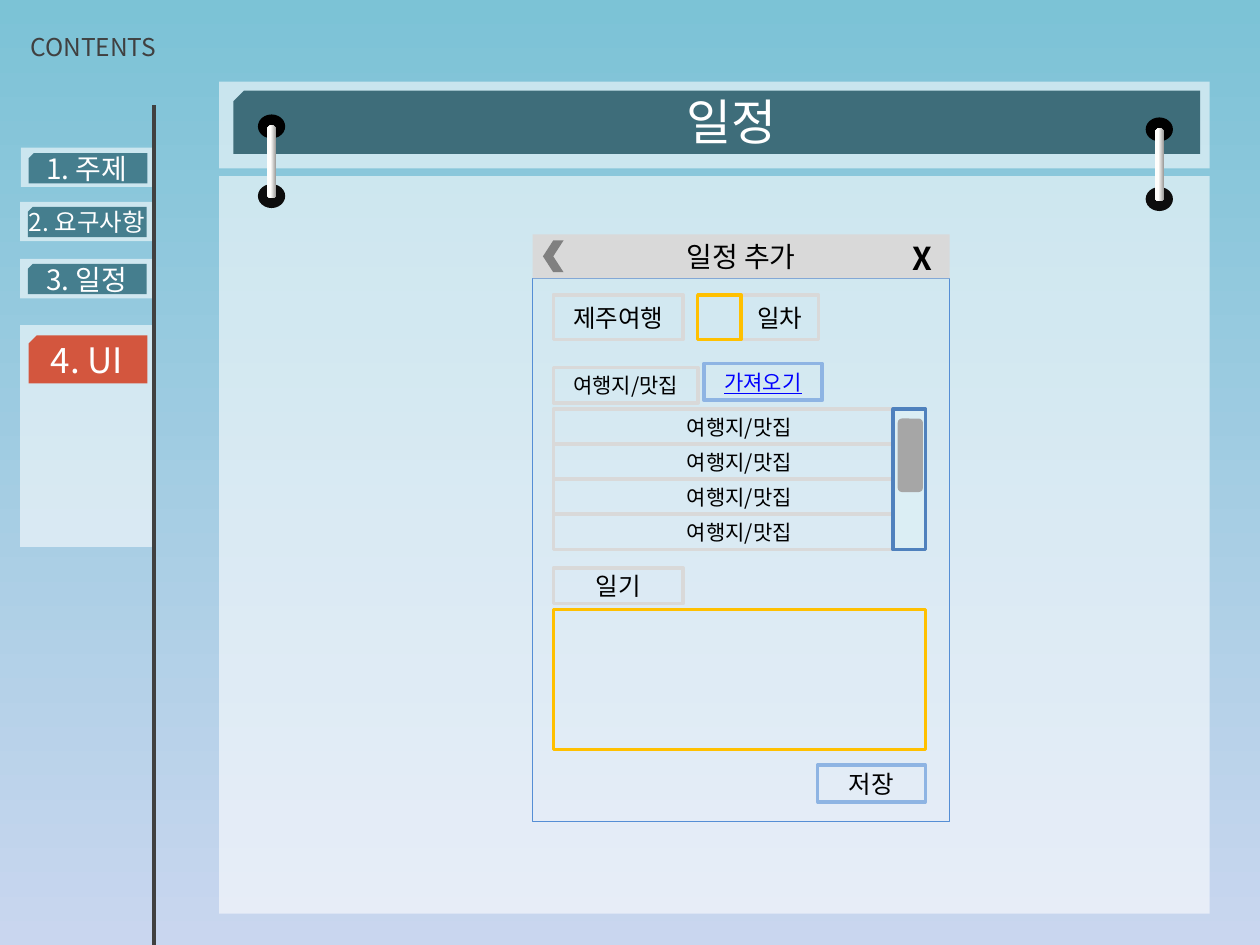
from dataclasses import dataclass

from lxml import etree
from pptx import Presentation
from pptx import util as u
from pptx.dml.color import RGBColor
from pptx.enum import shapes as sh, text as tx
from pptx.oxml.ns import qn

FONT = "Noto Sans CJK KR"
KIND = sh.MSO_SHAPE
WHITE, BLACK, DARK = "FFFFFF", "000000", "404040"
GREY, GOLD, SKY = "D9D9D9", "FFC000", "8EB4E3"
TEAL = "266678"


@dataclass
class Box:
    """A rectangle in points."""
    x: float
    y: float
    w: float
    h: float

    def spot(self) -> tuple:
        return tuple(u.Pt(v) for v in (self.x, self.y, self.w, self.h))


@dataclass
class Field:
    """An outlined box of the form."""
    box: Box
    line: str
    words: str = ""
    size: float = 14
    color: str = BLACK
    under: bool = False


@dataclass
class Tab:
    """An entry of the side menu."""
    words: str
    card: Box
    flag: Box
    size: float
    color: str = TEAL
    alpha: int = 81


def paint(target, color: str, alpha: int = 100) -> None:
    """Set a solid colour, with its opacity in percent."""
    target.solid()
    target.fore_color.rgb = RGBColor.from_string(color)
    if alpha < 100:
        tone = target._xPr.find(".//" + qn("a:srgbClr"))
        etree.SubElement(tone, qn("a:alpha")).set("val", str(alpha * 1000))


def blend(target, stops: list, angle: float) -> None:
    """Set a gradient of two stops."""
    target.gradient()
    target.gradient_angle = angle
    for stop, (place, color) in zip(target.gradient_stops, stops):
        stop.position = place
        stop.color.rgb = RGBColor.from_string(color)


def write(shape, words: str, size: float = 14, color: str = BLACK, bold: bool = False,
          under: bool = False, wrap: bool = True, align=tx.PP_ALIGN.CENTER) -> None:
    frame = shape.text_frame
    frame.word_wrap = wrap
    frame.auto_size = tx.MSO_AUTO_SIZE.NONE
    frame.vertical_anchor = tx.MSO_ANCHOR.MIDDLE
    par = frame.paragraphs[0]
    par.alignment = align
    run = par.add_run()
    run.text = words
    font = run.font
    font.size, font.bold, font.underline, font.name = u.Pt(size), bold, under, FONT
    font.color.rgb = RGBColor.from_string(color)
    etree.SubElement(run._r.get_or_add_rPr(), qn("a:ea")).set("typeface", FONT)


def draw(slide, box: Box, kind=KIND.RECTANGLE, fill: str = "", alpha: int = 100,
         line: str = "", width: float = 2, flip: bool = False):
    shape = slide.shapes.add_shape(kind, *box.spot())
    shape.shadow.inherit = False
    if fill:
        paint(shape.fill, fill, alpha)
    else:
        shape.fill.background()
    if line:
        paint(shape.line.fill, line)
        shape.line.width = u.Pt(width)
    else:
        shape.line.fill.background()
    if flip:
        shape._element.spPr.find(qn("a:xfrm")).set("flipH", "1")
    return shape


def label(slide, box: Box, words: str, **style) -> None:
    write(slide.shapes.add_textbox(*box.spot()), words, **style)


def add_flag(slide, box: Box, color: str, alpha: int) -> None:
    draw(slide, box, KIND.SNIP_1_RECTANGLE, color, alpha, flip=True)


def add_tab(slide, tab: Tab) -> None:
    draw(slide, tab.card, fill=WHITE, alpha=57)
    add_flag(slide, tab.flag, tab.color, tab.alpha)
    row = Box(6.5, tab.flag.y - 10, 86.4, tab.flag.h + 20)
    label(slide, row, tab.words, size=tab.size, color=WHITE)


def add_ring(slide, x: float, y: float) -> None:
    """Two holes joined by a metal bar."""
    for drop, color in ((39.8, "0D0D0D"), (0, BLACK)):
        draw(slide, Box(x, y + drop, 15.6, 13.7), KIND.OVAL, color)
    bar = draw(slide, Box(x + 5.2, y + 6.2, 5.5, 41.8), KIND.ROUNDED_RECTANGLE, WHITE)
    bar.adjustments[0] = 0.5
    blend(bar.fill, [(0.04, "979795"), (0.61, "FFFEFC")], 180)


def add_field(slide, field: Field) -> None:
    shape = draw(slide, field.box, line=field.line)
    if field.words:
        write(shape, field.words, field.size, field.color, under=field.under)


def add_menu(slide) -> None:
    tabs = [
        Tab("4. UI", Box(11.5, 185.8, 76, 126.7), Box(16.4, 191.7, 67.9, 27.3), 20, "D43212", 80),
        Tab("1. 주제", Box(12, 84.4, 76, 22.5), Box(16.4, 87.6, 67.9, 17.3), 16),
        Tab("2. 요구사항", Box(11.5, 115.4, 76, 22.5), Box(15.9, 118.2, 67.9, 17.3), 14),
        Tab("3. 일정", Box(11.5, 148, 76, 22.5), Box(15.9, 150.8, 67.9, 17.3), 16),
    ]
    for tab in tabs:
        add_tab(slide, tab)
    ends = [u.Pt(v) for v in (88, 540, 88, 60.2)]
    rule = slide.shapes.add_connector(sh.MSO_CONNECTOR.STRAIGHT, *ends)
    paint(rule.line.fill, DARK)
    rule.line.width = u.Pt(2.25)
    etree.SubElement(rule._element.spPr, qn("a:effectLst"))


def add_board(slide) -> None:
    draw(slide, Box(125.2, 100.6, 566, 421.5), fill=WHITE, alpha=58)
    draw(slide, Box(125.2, 46.6, 566, 49.6), fill=WHITE, alpha=57)
    add_flag(slide, Box(133.4, 51.8, 552.4, 36.2), "1E5260", 81)
    label(slide, Box(263.5, 27.4, 309.6, 82.8), "일정", size=28, color=WHITE)
    add_ring(slide, 147.4, 65.4)
    add_ring(slide, 654.7, 67.1)


def add_form(slide) -> None:
    draw(slide, Box(304.4, 159.1, 238.2, 310.3), line="558ED5", width=0.5)
    left, wide, place = 316.2, 212.6, "여행지/맛집"
    fields = [
        Field(Box(left, 168.5, 74.2, 25.6), GREY, "제주여행"),
        Field(Box(423.7, 168.5, 44, 25.6), GREY, "일차"),
        Field(Box(398.7, 168.5, 24.8, 25.6), GOLD),
        Field(Box(left, 348.4, wide, 80), GOLD),
        Field(Box(left, 210, 82.8, 20.2), GREY, place, 12),
        *(Field(Box(left, 233.7 + 20 * i, wide, 20.2), GREY, place, 12) for i in range(4)),
        Field(Box(402.2, 207.7, 67.7, 21), SKY, "가져오기", 12, "0000FF", True),
        Field(Box(left, 324.6, 74.2, 20.4), GREY, "일기"),
        Field(Box(467.2, 437.2, 61.6, 21), SKY, "저장"),
    ]
    for field in fields:
        add_field(slide, field)

    # Header bar with back and close marks
    head = draw(slide, Box(304.4, 133.9, 238.2, 25.2), fill=GREY)
    write(head, "일정 추가", 16)
    label(slide, Box(514.6, 132.6, 26.6, 29), "X", size=18, bold=True, wrap=False,
          align=tx.PP_ALIGN.LEFT)
    draw(slide, Box(310.3, 137.4, 11.8, 18.2), KIND.CHEVRON, "808080", flip=True)

    # Scroll bar
    draw(slide, Box(510.4, 233.7, 18.4, 80.5), fill="DBEEF4", line="4F81BD")
    draw(slide, Box(513, 239.2, 14.4, 42), KIND.ROUNDED_RECTANGLE, "A6A6A6")


def main() -> None:
    deck = Presentation()
    deck.slide_width, deck.slide_height = u.Pt(720), u.Pt(540)
    slide = deck.slides.add_slide(deck.slide_layouts[5])
    blend(slide.background.fill, [(0, "7CC3D6"), (1, "C9D6EF")], 270)

    title = slide.shapes.title
    title.left, title.top, title.width, title.height = Box(6.5, 1.4, 93.6, 51.1).spot()
    write(title, "CONTENTS", color=DARK)

    add_menu(slide)
    add_board(slide)
    add_form(slide)
    deck.save("out.pptx")


if __name__ == "__main__":
    main()
